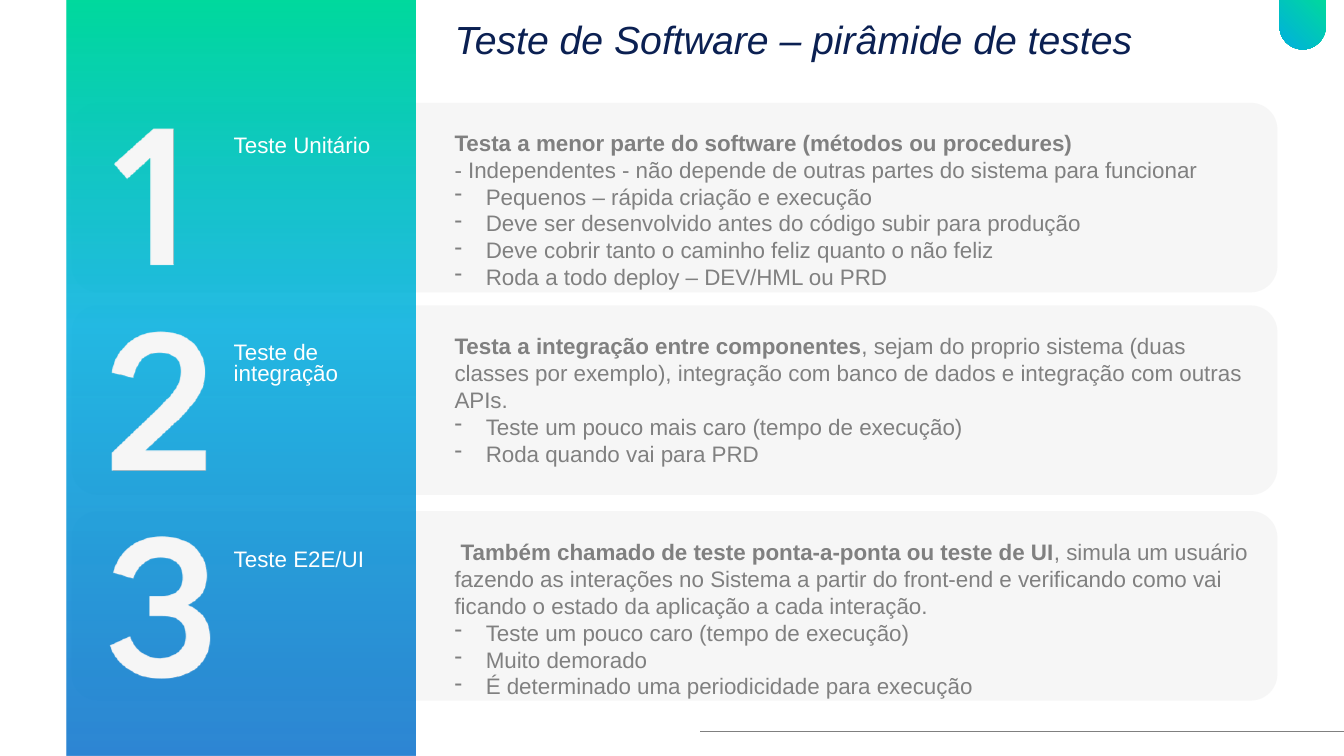
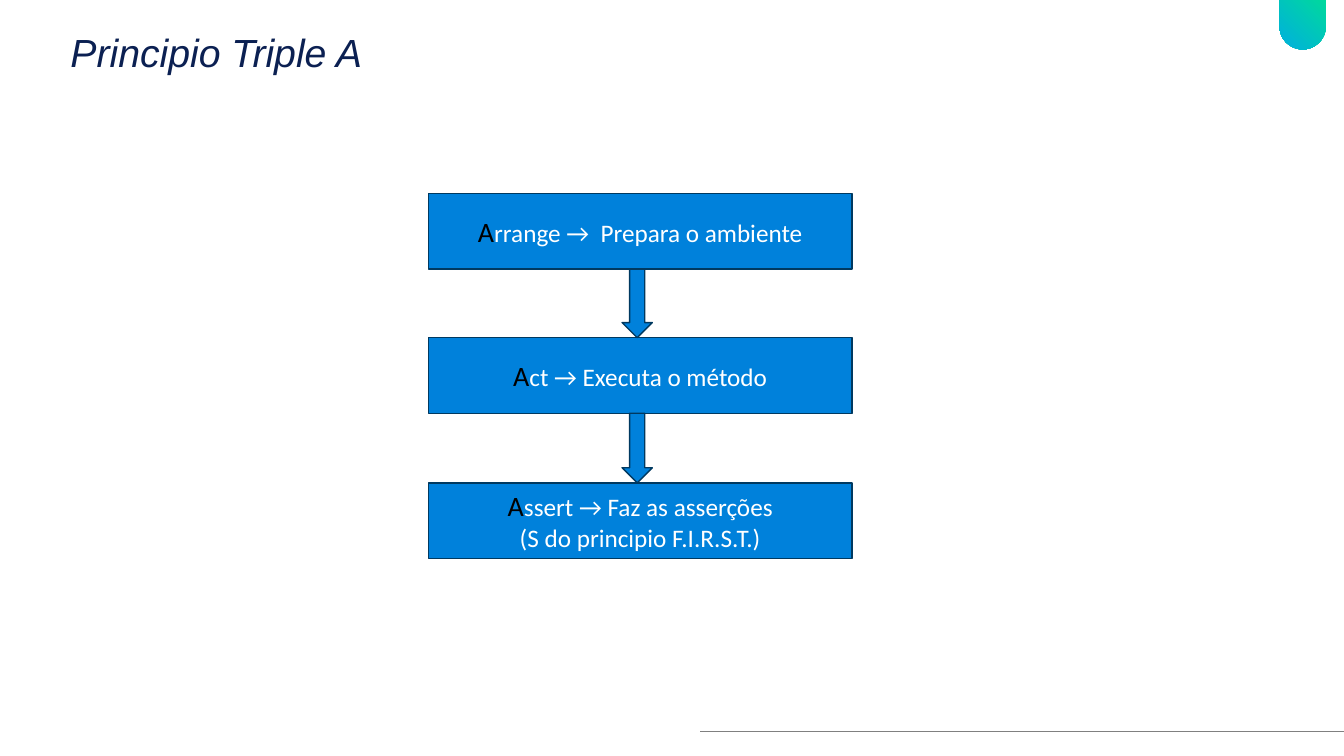
import lxml.etree
import pptx
import pptx.dml.color
import pptx.enum.shapes
import pptx.enum.text
import pptx.oxml.ns
import pptx.util

Inches = pptx.util.Inches
Pt = pptx.util.Pt
RGB = pptx.dml.color.RGBColor
Shape = pptx.enum.shapes.MSO_SHAPE
Align = pptx.enum.text.PP_ALIGN
Anchor = pptx.enum.text.MSO_ANCHOR
Fit = pptx.enum.text.MSO_AUTO_SIZE
qn = pptx.oxml.ns.qn

NAVY = RGB(0x0B, 0x20, 0x52)
GREEN = RGB(0x00, 0xD9, 0x9D)
CYAN = RGB(0x00, 0xAF, 0xDF)
ROYAL = RGB(0x00, 0x6B, 0xC9)
BLUE = RGB(0x00, 0x81, 0xDB)
EDGE = RGB(0x00, 0x39, 0x60)
PALE = RGB(0xF2, 0xF2, 0xF2)
GRAY = RGB(0x80, 0x80, 0x80)
WHITE = RGB(0xFF, 0xFF, 0xFF)
BLACK = RGB(0x00, 0x00, 0x00)

WIDE, HIGH = 13.33, 7.5

# Digit outlines, in inches from the left of the panel and the top of a card:
# a start point, then two numbers for a line or six for a curve.
ONE = [(.86, .26), (.47, .61), (.6, .76), (.83, .55), (.83, 1.61),
       (1.06, 1.61), (1.06, .26)]
TWO = [(.93, .26), (.85, .26, .77, .28, .71, .31),
       (.64, .34, .59, .39, .54, .45), (.49, .51, .46, .58, .45, .67),
       (.66, .72), (.68, .64, .71, .58, .75, .53),
       (.8, .49, .85, .47, .92, .47), (.99, .47, 1.04, .49, 1.08, .52),
       (1.12, .56, 1.13, .6, 1.13, .66), (1.13, .71, 1.12, .75, 1.1, .79),
       (1.08, .83, 1.05, .87, 1.02, .91), (.98, .94, .95, .98, .91, 1.02),
       (.45, 1.46), (.45, 1.64), (1.38, 1.64), (1.38, 1.44), (.78, 1.44),
       (1.09, 1.15), (1.14, 1.11, 1.18, 1.06, 1.22, 1.01),
       (1.27, .96, 1.3, .91, 1.33, .85), (1.36, .79, 1.37, .73, 1.37, .66),
       (1.37, .58, 1.35, .51, 1.31, .45), (1.28, .39, 1.23, .35, 1.16, .31),
       (1.09, .28, 1.02, .26, .93, .26)]
THREE = [(.94, .25), (.82, .25, .71, .29, .63, .35),
         (.55, .41, .49, .5, .46, .61), (.66, .67),
         (.68, .61, .72, .55, .76, .52), (.81, .48, .86, .46, .93, .46),
         (1, .46, 1.05, .48, 1.09, .51), (1.13, .55, 1.15, .59, 1.15, .66),
         (1.15, .72, 1.13, .76, 1.09, .8), (1.05, .83, 1, .84, .93, .84),
         (.82, .84), (.82, 1.04), (.95, 1.04),
         (1.02, 1.04, 1.08, 1.05, 1.12, 1.09),
         (1.16, 1.12, 1.18, 1.17, 1.18, 1.24),
         (1.18, 1.3, 1.16, 1.35, 1.11, 1.39),
         (1.07, 1.43, 1.01, 1.45, .93, 1.46),
         (.86, 1.46, .8, 1.44, .74, 1.4), (.69, 1.36, .65, 1.31, .63, 1.24),
         (.43, 1.33), (.46, 1.43, .53, 1.52, .62, 1.57),
         (.7, 1.63, .81, 1.66, .94, 1.66),
         (1.04, 1.66, 1.12, 1.64, 1.19, 1.61),
         (1.27, 1.58, 1.32, 1.53, 1.36, 1.47),
         (1.4, 1.41, 1.42, 1.34, 1.42, 1.26),
         (1.42, 1.17, 1.4, 1.11, 1.36, 1.05),
         (1.32, 1, 1.27, .96, 1.2, .93), (1.26, .9, 1.3, .87, 1.34, .82),
         (1.37, .77, 1.39, .71, 1.39, .64), (1.39, .56, 1.37, .49, 1.33, .44),
         (1.3, .38, 1.25, .33, 1.18, .3), (1.11, .27, 1.03, .25, .94, .25)]

# Card top, digit, label, drops of label and body, lead paragraphs, bullets
TESTS = [
    (1.02, ONE, "Teste Unitário", .29, .21,
     [("Testa a menor parte do software (métodos ou procedures)", ""),
      ("", "- Independentes - não depende de outras partes do sistema para "
           "funcionar")],
     ["Pequenos – rápida criação e execução",
      "Deve ser desenvolvido antes do código subir para produção",
      "Deve cobrir tanto o caminho feliz quanto o não feliz",
      "Roda a todo deploy – DEV/HML ou PRD"]),
    (3.03, TWO, "Teste de integração", .33, .22,
     [("Testa a integração entre componentes",
       ", sejam do proprio sistema (duas classes por exemplo), integração com "
       "banco de dados e integração com outras APIs.")],
     ["Teste um pouco mais caro (tempo de execução)",
      "Roda quando vai para PRD"]),
    (5.07, THREE, "Teste E2E/UI", .35, .22,
     [(" Também chamado de teste ponta-a-ponta ou teste de UI",
       ", simula um usuário fazendo as interações no Sistema a partir do "
       "front-end e verificando como vai ficando o estado da aplicação a cada "
       "interação.")],
     ["Teste um pouco caro (tempo de execução)", "Muito demorado",
      "É determinado uma periodicidade para execução"]),
]

# Box top and its lines
STEPS = [(1.92, ["Arrange →  Prepara o ambiente"]),
         (3.35, ["Act → Executa o método"]),
         (4.79, ["Assert → Faz as asserções", "(S do principio F.I.R.S.T.)"])]


def style(font, size, color, name="Arial"):
    font.size, font.name = Pt(size), name
    font.color.rgb = color


def alpha(tint, share):
    node = lxml.etree.SubElement(tint, qn("a:alpha"))
    node.set("val", str(share * 1000))


def blend(shape, stops, angle):
    """Fill with (place, colour, opacity) stops, angle clockwise."""
    shape.fill.gradient()
    grad = shape._element.spPr.find(qn("a:gradFill"))
    grad.set("rotWithShape", "1")
    grad.find(qn("a:lin")).set("ang", str(angle * 60000))
    items = grad.find(qn("a:gsLst"))
    for old in list(items):
        items.remove(old)
    for place, color, share in stops:
        stop = lxml.etree.SubElement(items, qn("a:gs"))
        stop.set("pos", str(place * 1000))
        tint = lxml.etree.SubElement(stop, qn("a:srgbClr"))
        tint.set("val", str(color))
        if share < 100:
            alpha(tint, share)


def add_form(slide, kind, left, top, width, height):
    shape = slide.shapes.add_shape(
        kind, Inches(left), Inches(top), Inches(width), Inches(height))
    shape.shadow.inherit = False
    shape.line.fill.background()
    return shape


def add_text(slide, left, top, width, height, fit=Fit.SHAPE_TO_FIT_TEXT):
    box = slide.shapes.add_textbox(
        Inches(left), Inches(top), Inches(width), Inches(height))
    box.text_frame.word_wrap = True
    box.text_frame.auto_size = fit
    return box.text_frame


def next_para(frame, first):
    return frame.paragraphs[0] if first else frame.add_paragraph()


def add_frame(deck, title, left, top, width):
    """Add a slide with the shared corner tab, bottom rule and title."""
    slide = deck.slides.add_slide(deck.slide_layouts[6])
    rule = slide.shapes.add_connector(
        pptx.enum.shapes.MSO_CONNECTOR.STRAIGHT,
        Inches(WIDE), Inches(7.26), Inches(6.94), Inches(7.26))
    rule.line.color.rgb, rule.line.width = GRAY, Pt(.5)
    lxml.etree.SubElement(rule._element.spPr, qn("a:effectLst"))
    tab = add_form(slide, Shape.ROUND_2_SAME_RECTANGLE, 12.69, 0, .46, .49)
    tab.adjustments[0], tab.adjustments[1] = .5, 0
    tab.rotation = 180
    blend(tab, [(0, GREEN, 100), (100, CYAN, 100)], 315)
    para = add_text(slide, left, top, width, .77, Fit.NONE).paragraphs[0]
    para.text, para.line_spacing = title, .9
    style(para.font, 28, NAVY)
    para.font.italic = True
    return slide


def bend(line, numbers):
    """Turn a drawn line into a curve through the given control points."""
    curve = lxml.etree.Element(qn("a:cubicBezTo"))
    for x, y in zip(numbers[::2], numbers[1::2]):
        dot = lxml.etree.SubElement(curve, qn("a:pt"))
        dot.set("x", str(Inches(x)))
        dot.set("y", str(Inches(y)))
    line.getparent().replace(line, curve)


def add_panel(slide, left, width):
    """Add the gradient panel with the digits cut out."""
    rings = [[(0, 0), (width, 0), (width, HIGH), (0, HIGH)]]
    for top, digit, *_ in TESTS:
        rings.append([tuple(n + top * (i % 2) for i, n in enumerate(part))
                      for part in digit])
    pen = slide.shapes.build_freeform(0, 0, scale=1.0)
    for index, ring in enumerate(rings):
        ends = [(Inches(part[-2]), Inches(part[-1])) for part in ring]
        if index:
            pen.move_to(*ends[0])
        pen.add_line_segments(ends[1:])
    panel = pen.convert_to_shape(Inches(left), 0)
    parts = [part for ring in rings for part in ring[1:]]
    lines = list(panel._element.iter(qn("a:lnTo")))
    for line, part in zip(lines, parts):
        if len(part) == 6:
            bend(line, part)
    panel.shadow.inherit = False
    panel.line.fill.background()
    blend(panel, [(0, ROYAL, 82), (57, CYAN, 85), (100, GREEN, 100)], 270)


def add_card(slide, left, top):
    card = add_form(slide, Shape.ROUNDED_RECTANGLE, left, top, 11.96, 1.88)
    card.adjustments[0] = .14
    card.fill.solid()
    card.fill.fore_color.rgb = PALE
    alpha(card._element.spPr.find(".//" + qn("a:srgbClr")), 63)


def add_label(slide, text, left, top):
    para = add_text(slide, left, top, 1.74, .31).paragraphs[0]
    para.text, para.line_spacing = text, Pt(15)
    style(para.font, 16, WHITE)


def add_body(slide, leads, points, left, top):
    frame = add_text(slide, left, top, 8.07, 1.72)
    for index, (strong, plain) in enumerate(leads):
        para = next_para(frame, index == 0)
        style(para.font, 16, GRAY)
        for text, bold in ((strong, True), (plain, False)):
            if text:
                run = para.add_run()
                run.text, run.font.bold = text, bold
    for point in points:
        para = frame.add_paragraph()
        para.text = point
        props = para._p.get_or_add_pPr()
        props.set("marL", str(Inches(.31)))
        props.set("indent", str(Inches(-.31)))
        lxml.etree.SubElement(props, qn("a:buFontTx"))
        lxml.etree.SubElement(props, qn("a:buChar")).set("char", "-")
        style(para.font, 16, GRAY)


def add_tests(deck):
    slide = add_frame(deck, "Teste de Software – pirâmide de testes",
                      4.41, .16, 8.2)
    for top, *_ in TESTS:
        add_card(slide, .71, top)
    add_panel(slide, .66, 3.46)
    for top, _, label, drop, fall, leads, points in TESTS:
        add_label(slide, label, 2.22, top + drop)
        add_body(slide, leads, points, 4.41, top + fall)


def add_block(slide, kind, left, top, width, height):
    block = add_form(slide, kind, left, top, width, height)
    block.fill.solid()
    block.fill.fore_color.rgb = BLUE
    block.line.color.rgb, block.line.width = EDGE, Pt(1)
    return block


def add_step(slide, lines, left, top, width, height):
    """Add a box whose first letter stands out."""
    frame = add_block(slide, Shape.RECTANGLE, left, top, width,
                      height).text_frame
    frame.word_wrap, frame.vertical_anchor = True, Anchor.MIDDLE
    for index, line in enumerate(lines):
        para = next_para(frame, index == 0)
        para.alignment = Align.CENTER
        style(para.font, 18, WHITE, "Calibri")
        if index == 0:
            head = para.add_run()
            head.text, line = line[0], line[1:]
            style(head.font, 20, BLACK, "Calibri")
        para.add_run().text = line


def add_flow(deck):
    slide = add_frame(deck, "Principio Triple A", .6, .28, 12.02)
    left, width, height = 4.25, 4.2, .75
    for top, lines in STEPS:
        add_step(slide, lines, left, top, width, height)
    for (top, _), (after, _) in zip(STEPS, STEPS[1:]):
        add_block(slide, Shape.DOWN_ARROW, left + 1.92, top + height,
                  .3, after - top - height)


def main():
    deck = pptx.Presentation()
    deck.slide_width, deck.slide_height = Inches(WIDE), Inches(HIGH)
    add_tests(deck)
    add_flow(deck)
    deck.save("out.pptx")


if __name__ == "__main__":
    main()
